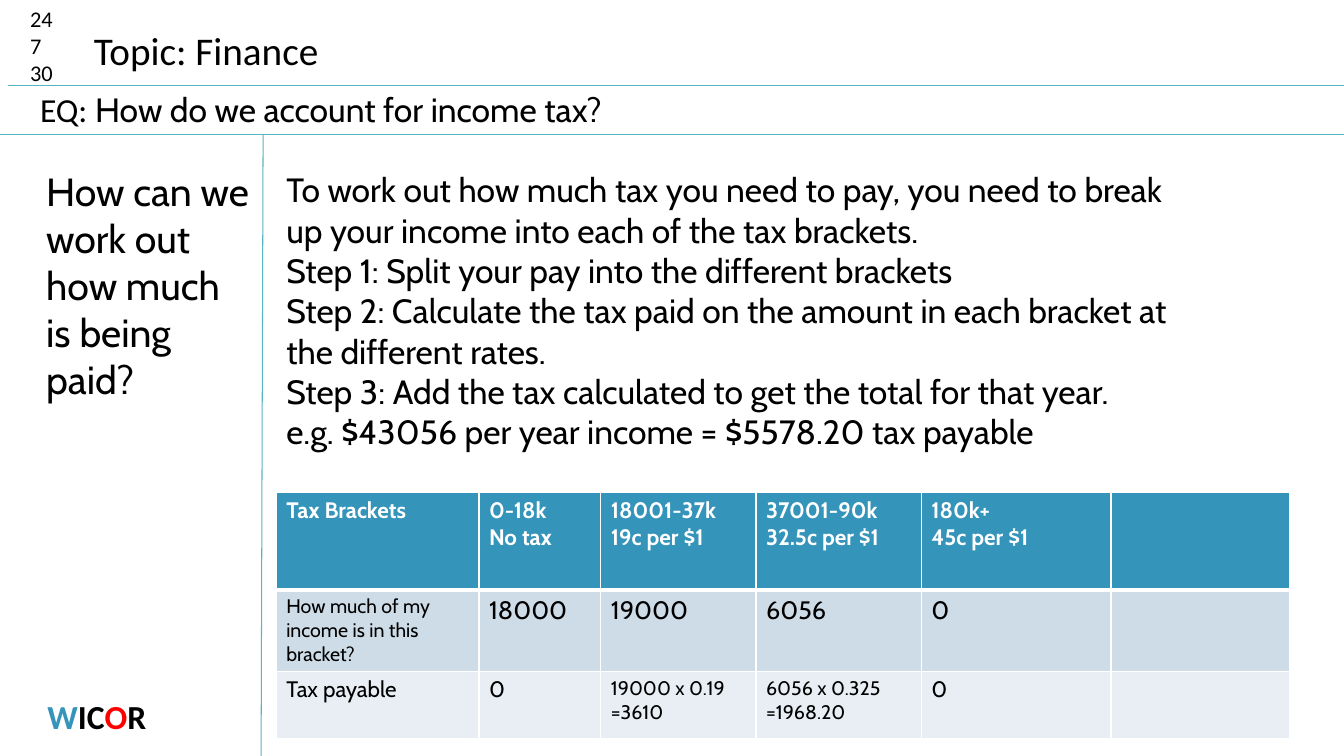
from lxml import etree
from pptx import Presentation
from pptx import util as u
from pptx.dml import color
from pptx.enum import shapes, text
from pptx.oxml import ns

BLACK, WHITE, RED, BLUE, TEAL = "000000", "FFFFFF", "FF0000", "3494BA", "58B6C0"
WIDTH, HEIGHT = 33.87, 19.05


def rgb(value):
    return color.RGBColor.from_string(value)


def set_font(font, formats):
    for name, value in formats.items():
        if name == "color":
            font.color.rgb = rgb(value)
        else:
            setattr(font, name, u.Pt(value) if name == "size" else value)


def write_text(frame, paragraphs, formats, alignment=text.PP_ALIGN.LEFT):
    """Each paragraph is a string or a list of (text, format changes)."""
    for index, content in enumerate(paragraphs):
        paragraph = frame.paragraphs[0] if index == 0 else frame.add_paragraph()
        paragraph.alignment = alignment
        runs = [(content, {})] if isinstance(content, str) else content
        for words, changes in runs:
            run = paragraph.add_run()
            run.text = words
            set_font(run.font, {**formats, **changes})


def place(shape, box):
    for name, value in zip(("left", "top", "width", "height"), box):
        setattr(shape, name, u.Cm(value))


def prepare_frame(frame, wrap=True):
    settings = {"word_wrap": wrap, "auto_size": text.MSO_AUTO_SIZE.NONE,
                "vertical_anchor": text.MSO_ANCHOR.TOP}
    for name, value in settings.items():
        setattr(frame, name, value)


def add_label(slide, box, paragraphs, formats, alignment=text.PP_ALIGN.LEFT):
    shape = slide.shapes.add_textbox(*map(u.Cm, box))
    prepare_frame(shape.text_frame)
    write_text(shape.text_frame, paragraphs, formats, alignment)


def fill_title(shape, box, words):
    place(shape, box)
    prepare_frame(shape.text_frame, wrap=False)
    write_text(shape.text_frame, [words], {"name": "Calibri", "size": 28, "color": BLACK})


def fill_body(shape, box, paragraphs, size):
    place(shape, box)
    prepare_frame(shape.text_frame)
    write_text(shape.text_frame, paragraphs, {"name": "Cabin", "size": size, "color": BLACK})
    for paragraph in shape.text_frame.paragraphs:
        paragraph.space_before = u.Pt(0)
        properties = paragraph._p.get_or_add_pPr()
        properties.set("marL", "0")
        properties.set("indent", "0")
        etree.SubElement(properties, ns.qn("a:buNone"))


def add_rules(slide, box, header_height, question_height, margin_width):
    left, top, width, height = box
    header, question = top + header_height, top + question_height
    margin = left + margin_width
    for ends in ((left + 0.2, header, left + width, header),
                 (left, question, left + width, question),
                 (margin, question, margin - 0.05, top + height)):
        rule = slide.shapes.add_connector(shapes.MSO_CONNECTOR.STRAIGHT, *map(u.Cm, ends))
        rule.line.color.rgb = rgb(TEAL)
        rule.line.width = u.Pt(0.75)
        etree.SubElement(rule._element.spPr, ns.qn("a:effectLst"))


def format_cell(cell, fill, bottom_width):
    properties = cell._tc.get_or_add_tcPr()
    for side, width in (("L", 1), ("R", 1), ("T", 1), ("B", bottom_width)):
        line = etree.SubElement(properties, ns.qn(f"a:ln{side}"), w=str(u.Pt(width)))
        solid = etree.SubElement(line, ns.qn("a:solidFill"))
        etree.SubElement(solid, ns.qn("a:srgbClr"), val=WHITE)
    cell.fill.solid()
    cell.fill.fore_color.rgb = rgb(fill)


def add_tax_table(slide, box, column_widths, row_heights, rows, fills):
    shape = slide.shapes.add_table(len(rows), len(column_widths), *map(u.Cm, box))
    table = shape.table
    for column, width in zip(table.columns, column_widths):
        column.width = u.Cm(width)
    for row_index, (row, height) in enumerate(zip(rows, row_heights)):
        table.rows[row_index].height = u.Cm(height)
        is_header = row_index == 0
        for column_index in range(len(column_widths)):
            cell = table.cell(row_index, column_index)
            format_cell(cell, fills[row_index], 3 if is_header else 1)
            if column_index < len(row):
                words, size = row[column_index]
                write_text(cell.text_frame, words.split("\n"),
                           {"name": "Cabin", "size": size, "bold": is_header,
                            "color": WHITE if is_header else BLACK})


def add_notes_slide(presentation):
    slide = presentation.slides.add_slide(presentation.slide_layouts[3])
    title, question, explanation = slide.placeholders
    calibri = {"name": "Calibri", "color": BLACK}

    # Ruled areas
    add_rules(slide, (0, 0, WIDTH, HEIGHT), 2.16, 3.4, 6.63)

    # Header: numbers, topic and essential question
    add_label(slide, (0.51, 0, 1.6, 2.31), ["24", "7", "30"], {**calibri, "size": 16})
    fill_title(title, (2.11, 0.53, 6.22, 1.45), "Topic: Finance")
    add_label(slide, (0.76, 2.11, 29.57, 1.27),
              [[("EQ: ", {}), ("How do we account for income tax?", {"name": "Cabin"})]],
              {**calibri, "size": 24})

    # Margin: question and acronym
    fill_body(question, (0.91, 4.09, 5.69, 8.28),
              ["How can we work out how much is being paid?"], 28)
    add_label(slide, (-0.38, 17.42, 5.64, 1.27),
              [[("W", {"color": BLUE}), ("IC", {}), ("O", {"color": RED}), ("R", {})]],
              {**calibri, "size": 24, "bold": True}, text.PP_ALIGN.CENTER)

    # Notes: steps and worked example
    fill_body(explanation, (6.96, 4.14, 23.19, 8.46), [
        "To work out how much tax you need to pay, you need to break up your income "
        "into each of the tax brackets.",
        "Step 1: Split your pay into the different brackets",
        "Step 2: Calculate the tax paid on the amount in each bracket at the different rates.",
        "Step 3: Add the tax calculated to get the total for that year.",
        "e.g. $43056 per year income = $5578.20 tax payable"], 24)
    headings = ("Tax Brackets", "0-18k\nNo tax", "18001-37k\n19c per $1",
                "37001-90k\n32.5c per $1", "180k+\n45c per $1")
    add_tax_table(
        slide, (6.96, 12.4, 25.54, 5.86),
        (5.11, 3.07, 3.91, 4.17, 4.78, 4.5), (2.46, 1.7, 1.7),
        [[(heading, 16) for heading in headings],
         [("How much of my income is in this bracket?", 14), ("18000", 18),
          ("19000", 18), ("6056", 18), ("0", 18)],
         [("Tax payable", 16), ("0", 16), ("19000 x 0.19\n=3610", 14),
          ("6056 x 0.325\n=1968.20", 14), ("0", 16)]],
        (BLUE, "CEDCE7", "E8EEF3"))


def main():
    presentation = Presentation()
    presentation.slide_width = u.Cm(WIDTH)
    presentation.slide_height = u.Cm(HEIGHT)
    add_notes_slide(presentation)
    presentation.save("out.pptx")


if __name__ == "__main__":
    main()
